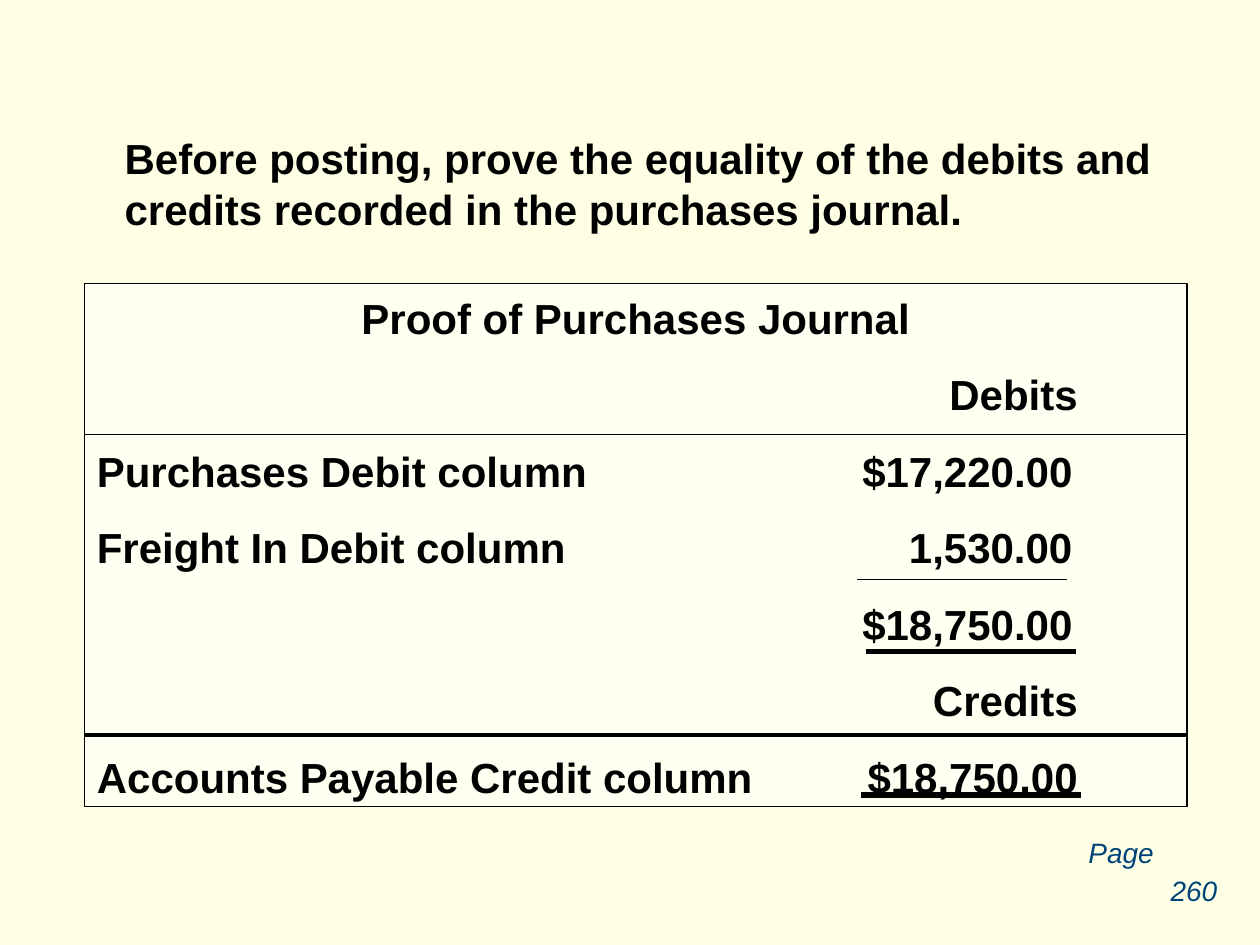
from lxml import etree
from pptx import Presentation
from pptx.dml.color import RGBColor
from pptx.enum import shapes, text
from pptx.oxml.ns import qn
from pptx.util import Pt

FONT, BLACK, PAGE_BLUE = "Arial", "000000", "004477"

# Right edges of the amounts, measured from the text margin
AMOUNT_EDGE, HEADING_EDGE = 557.5, 560.5

PROOF_ROWS = [
    ("", "Debits", HEADING_EDGE),
    ("Purchases Debit column", "$17,220.00", AMOUNT_EDGE),
    ("Freight In Debit column", "1,530.00", AMOUNT_EDGE),
    ("", "$18,750.00", AMOUNT_EDGE),
    ("", "Credits", HEADING_EDGE),
    ("Accounts Payable Credit column", "$18,750.00", HEADING_EDGE),
]

# x1, x2, y, width of each rule
RULES = [
    (48.24, 678.96, 248.4, 0.75),    # under the debits heading
    (489.6, 609.84, 331.2, 0.75),    # above the debit total
    (494.64, 614.88, 372.24, 3),     # under the debit total
    (48.24, 678.96, 419.76, 2.25),   # under the credits heading
    (491.76, 617.76, 454.32, 3),     # under the credit total
]


def rgb(value):
    return RGBColor.from_string(value)


def add_run(p, content, size=24, color=BLACK, bold=True, italic=False):
    r = p.add_run()
    r.text = content
    r.font.name, r.font.size = FONT, Pt(size)
    r.font.bold, r.font.italic = bold, italic
    r.font.color.rgb = rgb(color)


def set_frame(tf, top=3.6, wrap=True):
    tf.auto_size = text.MSO_AUTO_SIZE.NONE
    tf.word_wrap = wrap
    tf.vertical_anchor = text.MSO_ANCHOR.TOP
    tf.margin_left = tf.margin_right = Pt(7.2)
    tf.margin_top, tf.margin_bottom = Pt(top), Pt(3.6)


def set_paragraph(p, align=text.PP_ALIGN.LEFT, before=0):
    p.alignment = align
    p.line_spacing, p.space_before = Pt(28.75), Pt(before)


def add_right_tab(p, pos):
    tabs = etree.SubElement(p._p.get_or_add_pPr(), qn("a:tabLst"))
    etree.SubElement(tabs, qn("a:tab"), pos=str(Pt(pos)), algn="r")


def add_title(s, content):
    sp = s.shapes.title
    sp.left, sp.top, sp.width, sp.height = Pt(64), Pt(70.5), Pt(606), Pt(65)
    set_frame(sp.text_frame, top=5.5)
    p = sp.text_frame.paragraphs[0]
    set_paragraph(p)
    add_run(p, content)


def add_proof(s, heading, rows):
    sp = s.shapes.add_shape(shapes.MSO_SHAPE.RECTANGLE,
                            Pt(48.24), Pt(162), Pt(630), Pt(298.8))
    sp.shadow.inherit = False
    sp.fill.solid()
    sp.fill.fore_color.rgb = rgb("FFFFFF")
    color = sp._element.spPr.find(qn("a:solidFill"))[0]
    etree.SubElement(color, qn("a:alpha"), val="50000")
    sp.line.color.rgb, sp.line.width = rgb(BLACK), Pt(0.75)

    tf = sp.text_frame
    set_frame(tf, top=5)
    p = tf.paragraphs[0]
    set_paragraph(p, text.PP_ALIGN.CENTER)
    add_run(p, heading)
    for label, amount, edge in rows:
        p = tf.add_paragraph()
        add_right_tab(p, edge)
        set_paragraph(p, before=15)
        add_run(p, f"{label}\t{amount}")


def add_rule(s, x1, x2, y, width):
    ln = s.shapes.add_connector(shapes.MSO_CONNECTOR.STRAIGHT,
                                Pt(x1), Pt(y), Pt(x2), Pt(y))
    ln.line.color.rgb, ln.line.width = rgb(BLACK), Pt(width)
    etree.SubElement(ln._element.spPr, qn("a:effectLst"))


def add_page_label(s, content, x, y, w, align):
    tf = s.shapes.add_textbox(Pt(x), Pt(y), Pt(w), Pt(26.6)).text_frame
    set_frame(tf, wrap=False)
    p = tf.paragraphs[0]
    p.alignment = align
    add_run(p, content, 16, PAGE_BLUE, bold=False, italic=True)


def main():
    prs = Presentation()
    prs.slide_width, prs.slide_height = Pt(720), Pt(540)
    s = prs.slides.add_slide(prs.slide_layouts[5])
    s.background.fill.solid()
    s.background.fill.fore_color.rgb = rgb("FFFFE5")

    add_title(s, "Before posting, prove the equality of the debits and "
                 "credits recorded in the purchases journal.")

    # Page reference
    add_page_label(s, "Page", 614.9, 473.8, 51.8, text.PP_ALIGN.LEFT)
    add_page_label(s, "260", 661.7, 495.4, 41, text.PP_ALIGN.CENTER)

    # Proof with its rules
    add_proof(s, "Proof of Purchases Journal", PROOF_ROWS)
    for rule in RULES:
        add_rule(s, *rule)

    prs.save("out.pptx")


if __name__ == "__main__":
    main()
